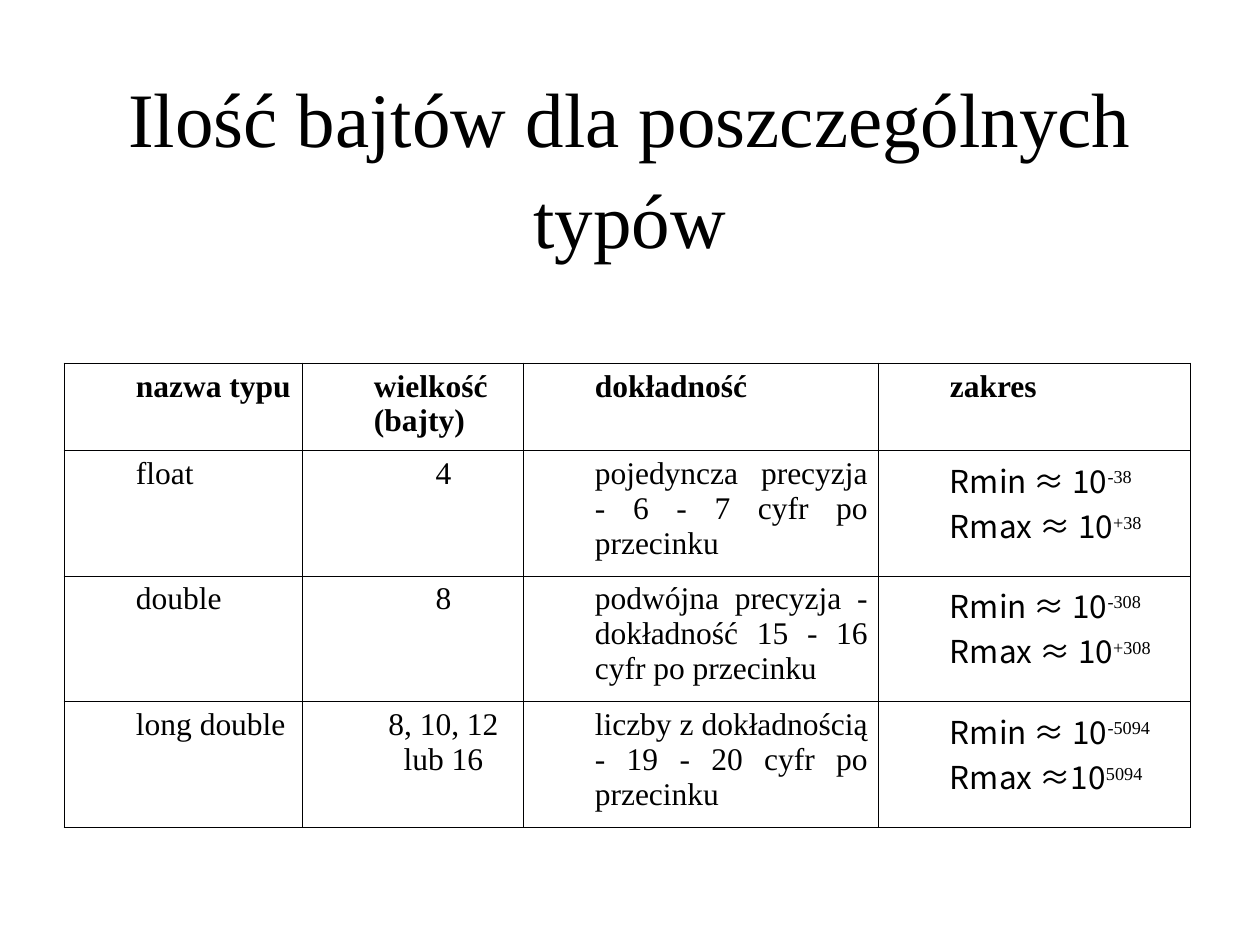
from dataclasses import dataclass

from lxml.etree import fromstring
from pptx import Presentation
from pptx.dml.color import RGBColor as RGB
from pptx.enum.text import MSO_ANCHOR as Anchor, PP_ALIGN as Align
from pptx.oxml.ns import nsdecls
from pptx.util import Pt

PX = 914400 // 126  # EMU in one px


@dataclass(frozen=True)
class Theme:
    ink: str = "000000"
    rule: str = "000001"
    serif: str = "Times New Roman"
    sans: str = "Noto Sans CJK KR"
    head: int = 44
    body: int = 18
    line: float = 0.45


T = Theme()

TITLE = "Ilość bajtów dla poszczególnych typów"
HEADS = ["nazwa typu", "wielkość (bajty)", "dokładność", "zakres"]
# Ranges are lists of (base, exponent) lines
TYPES = [
    ["float", "4", "pojedyncza precyzja - 6 - 7 cyfr po przecinku",
     [("Rmin ≈ 10", "-38"), ("Rmax ≈ 10", "+38")]],
    ["double", "8", "podwójna precyzja - dokładność 15 - 16 cyfr po przecinku",
     [("Rmin ≈ 10", "-308"), ("Rmax ≈ 10", "+308")]],
    ["long double", "8, 10, 12 lub 16",
     "liczby z dokładnością - 19 - 20 cyfr po przecinku",
     [("Rmin ≈ 10", "-5094"), ("Rmax ≈10", "5094")]],
]
COLS = [238, 221, 355, 313]
ROWS = [84, 117, 126, 117]
INDENT = 63


def px(*vals):
    return [v * PX for v in vals]


def style(run, size, face=T.serif, bold=False):
    font = run.font
    font.size, font.name, font.bold = Pt(size), face, bold
    font.color.rgb = RGB.from_string(T.ink)


def add_title(slide):
    box = slide.shapes.add_textbox(*px(94, 84, 1072, 158))
    frame = box.text_frame
    frame.word_wrap = True
    frame.vertical_anchor = Anchor.MIDDLE
    frame.text = TITLE
    para = frame.paragraphs[0]
    para.alignment = Align.CENTER
    para.line_spacing = 1.09
    style(para.runs[0], T.head)


def add_rules(cell):
    props = cell._tc.get_or_add_tcPr()
    for i, side in enumerate("LRTB"):
        props.insert(i, fromstring(
            f'<a:ln{side} {nsdecls("a")} w="{Pt(T.line)}"><a:solidFill>'
            f'<a:srgbClr val="{T.rule}"/></a:solidFill></a:ln{side}>'))


def add_power(para, base, power):
    run = para.add_run()
    run.text = base
    style(run, T.body, T.sans)
    # The symbol takes the East Asian face
    run.font._element.append(fromstring(
        f'<a:ea {nsdecls("a")} typeface="{T.sans}"/>'))
    run = para.add_run()
    run.text = power
    style(run, T.body)
    run.font._element.set("baseline", "30000")


def fill_cell(cell, data, align, bold):
    cell.fill.background()
    add_rules(cell)
    (cell.margin_left, cell.margin_top,
     cell.margin_right, cell.margin_bottom) = px(9, 6, 10, 6)
    frame = cell.text_frame
    if isinstance(data, str):
        frame.text = data
        style(frame.paragraphs[0].runs[0], T.body, bold=bold)
    else:
        for i, (base, power) in enumerate(data):
            para = frame.add_paragraph() if i else frame.paragraphs[0]
            add_power(para, base, power)
    for para in frame.paragraphs:
        para.alignment = align
        para._p.get_or_add_pPr().set("marL", str(INDENT * PX))


def add_grid(slide):
    rows = [HEADS, *TYPES]
    grid = slide.shapes.add_table(
        len(ROWS), len(COLS), *px(64, 363, sum(COLS), sum(ROWS))).table
    grid.first_row = grid.horz_banding = False
    for col, wide in zip(grid.columns, COLS):
        col.width = wide * PX
    for row, high in zip(grid.rows, ROWS):
        row.height = high * PX
    for r, row in enumerate(rows):
        for c, data in enumerate(row):
            # Byte counts are centred below their heading
            align = Align.CENTER if r and c == 1 else Align.JUSTIFY
            fill_cell(grid.cell(r, c), data, align, bold=r == 0)


def main():
    deck = Presentation()
    deck.slide_width, deck.slide_height = px(1260, 945)
    slide = deck.slides.add_slide(deck.slide_layouts[6])
    add_title(slide)
    add_grid(slide)
    deck.save("out.pptx")


if __name__ == "__main__":
    main()
